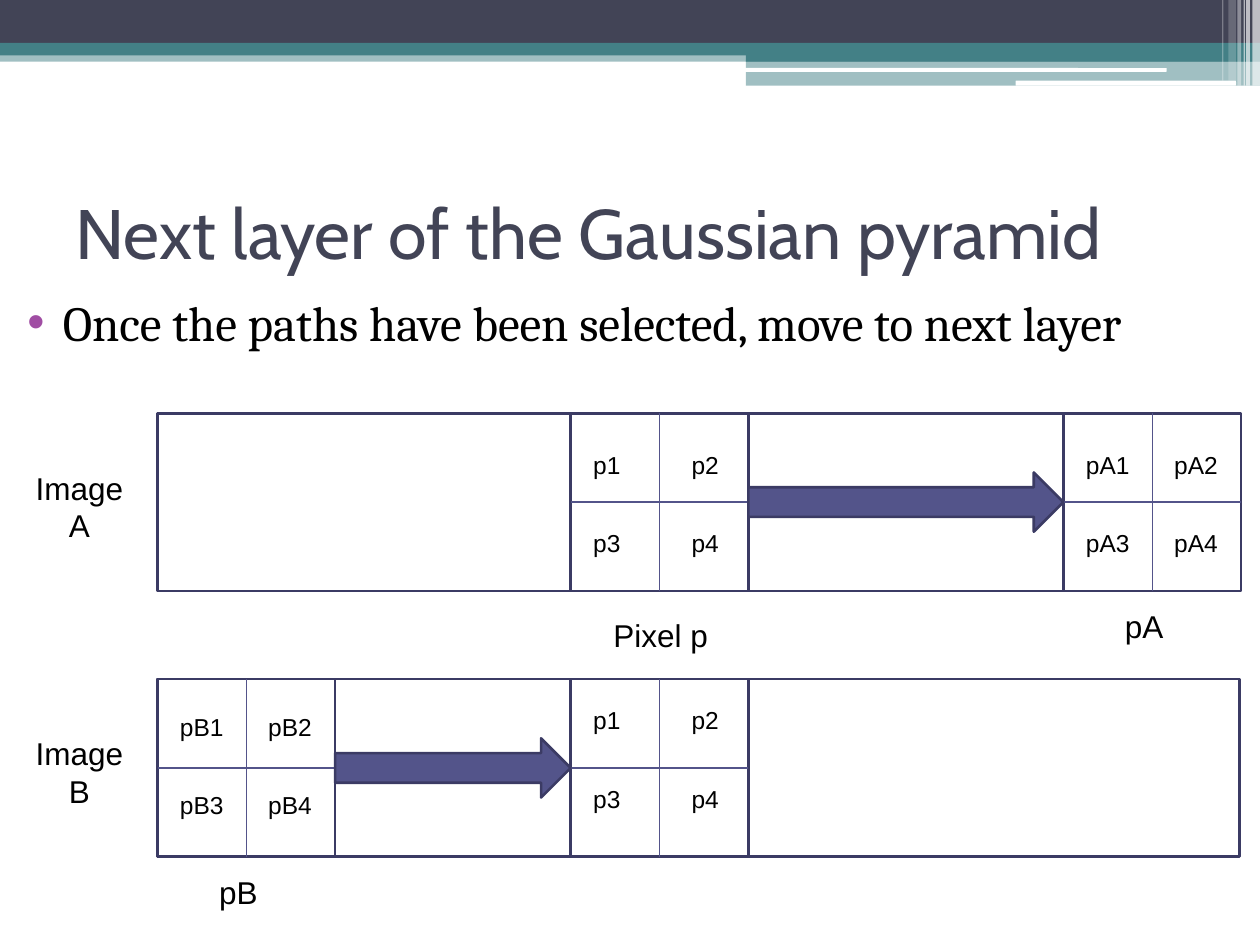
from dataclasses import dataclass

from pptx import Presentation
from pptx.dml.color import RGBColor
from pptx.enum.shapes import MSO_CONNECTOR, MSO_SHAPE as Preset
from pptx.enum.text import MSO_ANCHOR, PP_ALIGN
from pptx.oxml.ns import qn
from pptx.util import Inches, Pt
from lxml.etree import SubElement

WHITE = RGBColor(0xFF, 0xFF, 0xFF)
BLACK = RGBColor(0, 0, 0)
SLATE = RGBColor(0x42, 0x44, 0x56)
TEAL = RGBColor(0x43, 0x80, 0x86)
INDIGO = RGBColor(0x53, 0x54, 0x8A)
OUTLINE = RGBColor(0x3B, 0x3B, 0x64)
BULLET = "A04DA3"

STRIP_LEFT, STRIP_WIDTH = 1.25, 8.59
BLOCK = 1.41
ROW_A, ROW_B = 3.28, 5.39
PIXEL_LEFT, PA_LEFT = 4.53, 8.44


@dataclass
class Band:
    left: float
    top: float
    width: float
    height: float
    color: RGBColor = WHITE
    opacity: int = 100
    preset: Preset = Preset.RECTANGLE


@dataclass
class PixelBlock:
    prefix: str
    left: float
    top: float
    column_step: float
    label_offset: float


@dataclass
class Label:
    text: str
    left: float
    top: float
    width: float
    height: float = 0.4
    align: PP_ALIGN = PP_ALIGN.LEFT


BANDS = [
    Band(0, 0.4, 10, 0.09, TEAL, 50),
    Band(0, 0, 10, 0.34, SLATE),
    Band(0, 0.34, 10, 0.1, TEAL),
    Band(5.92, 0.39, 4.08, 0.1, TEAL),
    Band(5.92, 0.48, 4.08, 0.2, TEAL, 50),
    Band(5.91, 0.54, 3.35, 0.03, preset=Preset.ROUNDED_RECTANGLE),
    Band(8.06, 0.64, 1.75, 0.04, preset=Preset.ROUNDED_RECTANGLE),
    Band(9.94, 0, 0.06, 0.68, opacity=65),
    Band(9.89, 0, 0.03, 0.68, opacity=65),
    Band(9.87, 0, 0.01, 0.68, opacity=60),
    Band(9.82, 0, 0.03, 0.68, opacity=40),
    Band(9.75, 0, 0.06, 0.64, opacity=20),
    Band(9.7, 0, 0.01, 0.64, opacity=30),
]
BLOCKS = [
    PixelBlock("p", PIXEL_LEFT, ROW_A, 0.78, 0.24),
    PixelBlock("p", PIXEL_LEFT, ROW_B, 0.78, 0.16),
    PixelBlock("pA", PA_LEFT, ROW_A, 0.7, 0.24),
    PixelBlock("pB", STRIP_LEFT, ROW_B, 0.7, 0.21),
]
LABELS = [
    Label("Pixel p", 4.77, 4.84, 1.17),
    Label("pA", 8.83, 4.77, 0.94),
    Label("pB", 1.64, 6.88, 0.94),
    Label("Image A", 0.16, ROW_A + 0.39, 0.94, 0.7, PP_ALIGN.CENTER),
    Label("Image B", 0.16, ROW_B + 0.39, 0.94, 0.7, PP_ALIGN.CENTER),
]

presentation = Presentation()
presentation.slide_width, presentation.slide_height = Inches(10), Inches(7.5)
slide = presentation.slides.add_slide(presentation.slide_layouts[6])


def add_shape(preset: Preset, left: float, top: float, width: float, height: float,
              fill: RGBColor, outline: RGBColor | None = None):
    shape = slide.shapes.add_shape(preset, Inches(left), Inches(top), Inches(width), Inches(height))
    shape.shadow.inherit = False
    shape.fill.solid()
    shape.fill.fore_color.rgb = fill
    if outline is None:
        shape.line.fill.background()
    else:
        shape.line.color.rgb = outline
        shape.line.width = Pt(1.5)
    return shape


def add_line(left: float, top: float, right: float, bottom: float) -> None:
    line = slide.shapes.add_connector(MSO_CONNECTOR.STRAIGHT, Inches(left), Inches(top),
                                      Inches(right), Inches(bottom))
    line.line.color.rgb = INDIGO
    line.line.width = Pt(0.74)
    SubElement(line._element.spPr, qn("a:effectLst"))


def add_text(text: str, left: float, top: float, width: float, height: float, size: int,
             font: str = "Arial", color: RGBColor = BLACK, align: PP_ALIGN = PP_ALIGN.LEFT,
             **frame_format):
    box = slide.shapes.add_textbox(Inches(left), Inches(top), Inches(width), Inches(height))
    frame = box.text_frame
    for name, value in {"word_wrap": True, **frame_format}.items():
        setattr(frame, name, value)
    paragraph = frame.paragraphs[0]
    paragraph.alignment = align
    run = paragraph.add_run()
    run.text = text
    for name, value in {"name": font, "size": Pt(size)}.items():
        setattr(run.font, name, value)
    run.font.color.rgb = color
    return paragraph


def add_band(band: Band) -> None:
    shape = add_shape(band.preset, band.left, band.top, band.width, band.height, band.color)
    if band.opacity < 100:
        color = shape._element.spPr.find(qn("a:solidFill"))[0]
        SubElement(color, qn("a:alpha"), val=str(band.opacity * 1000))


def add_block(block: PixelBlock) -> None:
    left, top, half = block.left, block.top, BLOCK / 2
    add_shape(Preset.RECTANGLE, left, top, BLOCK, BLOCK, WHITE, OUTLINE)
    add_line(left + half, top, left + half, top + BLOCK)
    add_line(left, top + half, left + BLOCK, top + half)
    for index in range(4):
        row, column = divmod(index, 2)
        add_text(f"{block.prefix}{index + 1}", left + 0.08 + column * block.column_step,
                 top + block.label_offset + row * 0.62, 0.55, 0.34, 14, margin_right=0)


def add_arrow(left: float, right: float, row_top: float) -> None:
    height = 0.47
    add_shape(Preset.RIGHT_ARROW, left, row_top + (BLOCK - height) / 2, right - left, height,
              INDIGO, OUTLINE)


# Header decoration
for band in BANDS:
    add_band(band)

# Title and bullet
add_text("Next layer of the Gaussian pyramid", 0.5, 1.25, 9, 1.17, 40, "Cabin", SLATE,
         vertical_anchor=MSO_ANCHOR.MIDDLE)
bullet = add_text("Once the paths have been selected, move to next layer",
                  0, 2.27, 10, 0.7, 28, "Cambria")
bullet.space_before = Pt(3)
properties = bullet._p.get_or_add_pPr()
properties.set("marL", str(Inches(0.4)))
properties.set("indent", str(Inches(-0.28)))
SubElement(SubElement(properties, qn("a:buClr")), qn("a:srgbClr"), val=BULLET)
SubElement(properties, qn("a:buFont"), typeface="Arial")
SubElement(properties, qn("a:buChar"), char="•")

# Image strips with their pixel blocks
for row_top in (ROW_A, ROW_B):
    add_shape(Preset.RECTANGLE, STRIP_LEFT, row_top, STRIP_WIDTH, BLOCK, WHITE, OUTLINE)
for block in BLOCKS:
    add_block(block)

# Arrows between blocks
add_arrow(PIXEL_LEFT + BLOCK, PA_LEFT, ROW_A)
add_arrow(STRIP_LEFT + BLOCK, PIXEL_LEFT, ROW_B)

# Captions
for label in LABELS:
    add_text(label.text, label.left, label.top, label.width, label.height, 18, align=label.align)

presentation.save("out.pptx")
